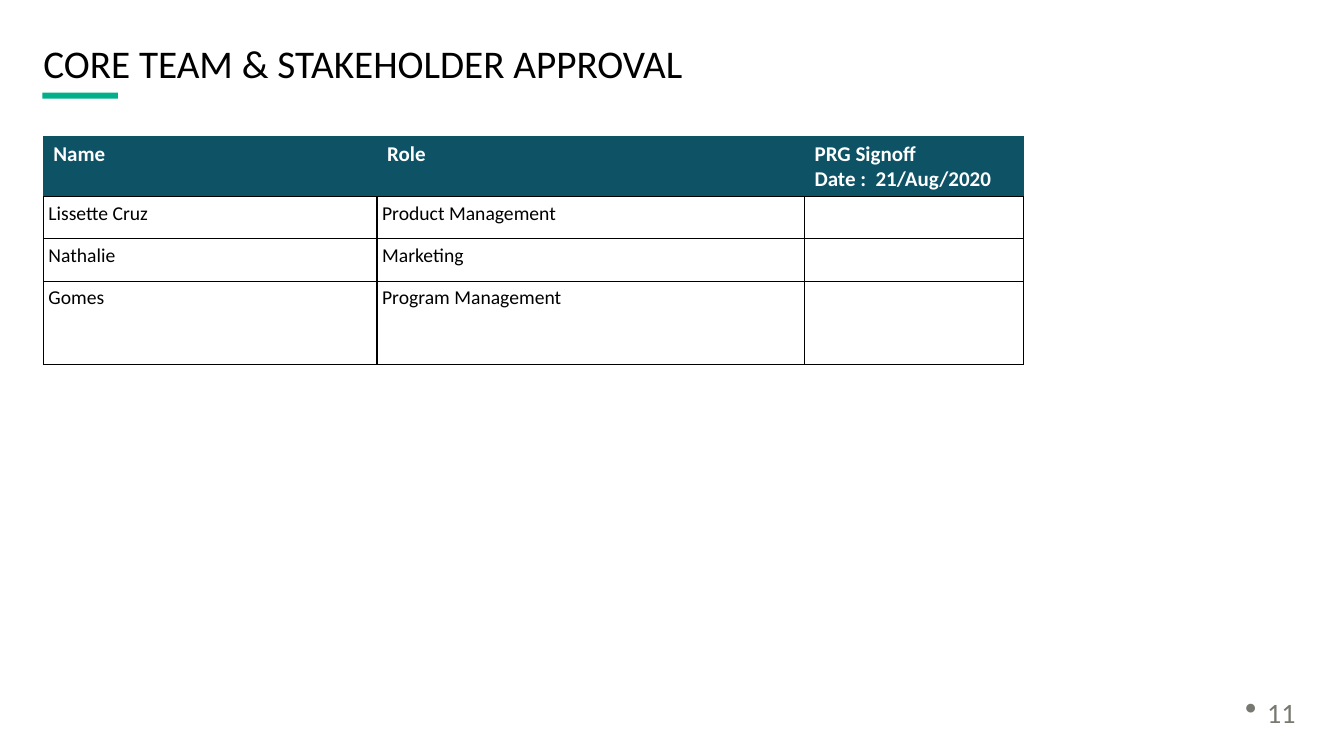
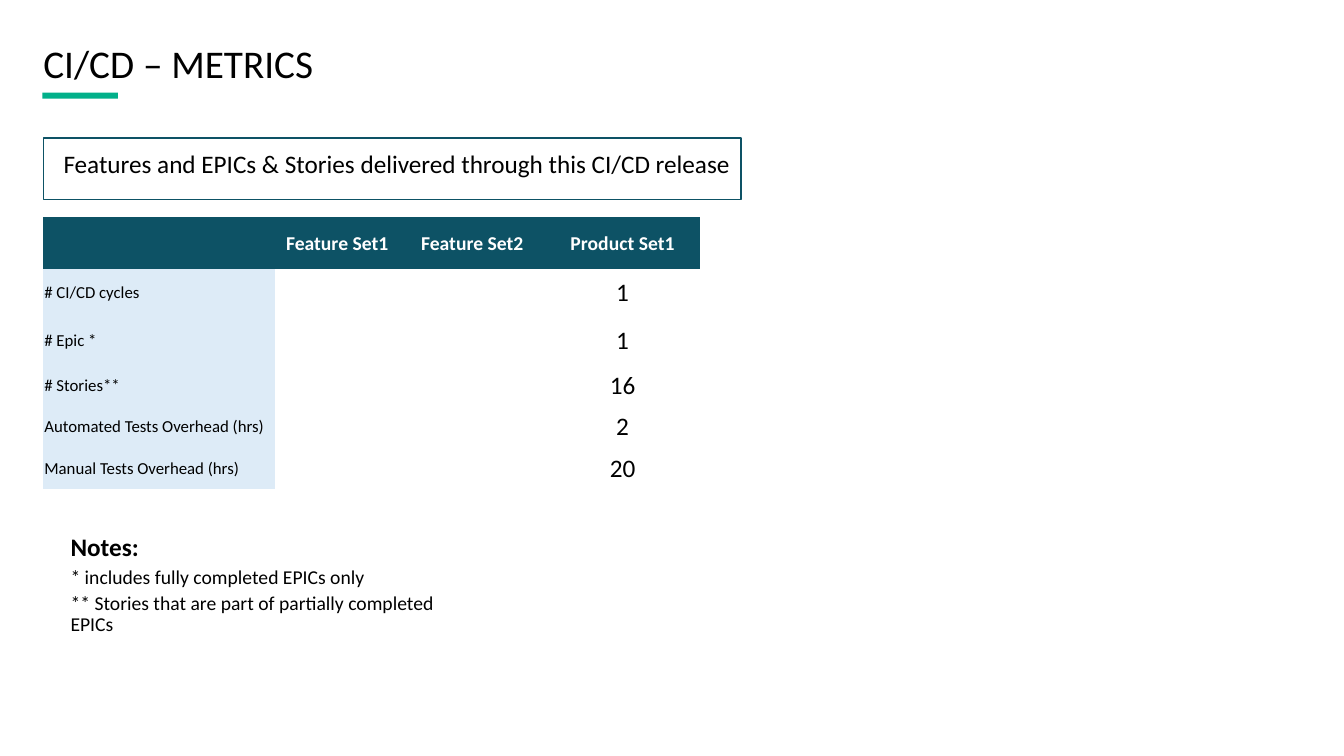
import pptx
import pptx.util
import pptx.dml.color
import pptx.enum.shapes
import pptx.enum.text
import pptx.oxml
import pptx.oxml.ns
from dataclasses import dataclass
from lxml import etree

Inches = pptx.util.Inches
Pt = pptx.util.Pt
RGB = pptx.dml.color.RGBColor.from_string
PP_ALIGN = pptx.enum.text.PP_ALIGN
ANCHOR = pptx.enum.text.MSO_ANCHOR
qn = pptx.oxml.ns.qn


@dataclass
class Theme:
    font: str = "Calibri"
    ink: str = "000000"
    white: str = "FFFFFF"
    petrol: str = "0D5265"
    accent: str = "01B08A"
    label: str = "DDEBF7"
    page: str = "787871"
    title: int = 28
    page_number: int = 20
    lead: int = 18
    header: int = 15
    body: int = 14
    small: int = 12
    left: float = 0.43


theme = Theme()


def write(frame, lines, size, color=theme.ink, bold=False, align=None,
          anchor=None, inset=None, spacing=None, before=None):
    """Fill a text box or a table cell; inset is left, top, right, bottom."""
    holder = frame if hasattr(frame, "margin_left") else frame.text_frame
    if inset:
        (holder.margin_left, holder.margin_top,
         holder.margin_right, holder.margin_bottom) = map(Inches, inset)
    if anchor is not None:
        holder.vertical_anchor = anchor
    text_frame = getattr(frame, "text_frame", frame)
    text_frame.text = "\n".join(lines)
    for paragraph in text_frame.paragraphs:
        paragraph.alignment = align
        paragraph.line_spacing = spacing
        paragraph.space_before = before
        font = paragraph.font
        font.name, font.size, font.bold = theme.font, Pt(size), bold
        font.color.rgb = RGB(color)


def plain_table(slide, top, widths, heights):
    """Add a table without style, sized by its columns and rows."""
    table = slide.shapes.add_table(
        len(heights), len(widths), Inches(theme.left), Inches(top),
        Inches(sum(widths)), Inches(sum(heights))).table
    table.first_row = table.horz_banding = False
    style = table._tbl.tblPr.find(qn("a:tableStyleId"))
    style.text = "{2D5ABB26-0587-4C30-8999-92F81FD0307C}"
    for column, width in zip(table.columns, widths):
        column.width = Inches(width)
    for row, height in zip(table.rows, heights):
        row.height = Inches(height)
    return table


deck = pptx.Presentation()
deck.slide_width, deck.slide_height = Inches(13.33), Inches(7.5)

# Title and accent bar on every slide
slides = []
for title in ("CORE TEAM & STAKEHOLDER APPROVAL", "CI/CD – METRICS"):
    slide = deck.slides.add_slide(deck.slide_layouts[6])
    bar = slide.shapes.add_shape(
        pptx.enum.shapes.MSO_SHAPE.RECTANGLE,
        Inches(0.42), Inches(0.92), Inches(0.75), Inches(0.06))
    bar.shadow.inherit = False
    bar.fill.solid()
    bar.fill.fore_color.rgb = RGB(theme.accent)
    bar.line.fill.background()
    heading = slide.shapes.add_textbox(
        Inches(theme.left), Inches(0.42), Inches(12.49), Inches(0.47)).text_frame
    heading.word_wrap = True
    write(heading, [title], theme.title, inset=(0, 0, 0, 0),
          anchor=ANCHOR.MIDDLE, spacing=0.9)
    slides.append(slide)
approval, metrics = slides

# Approval: page number with bullet
page_number = approval.shapes.add_textbox(
    Inches(12.25), Inches(6.89), Inches(0.75), Inches(0.4)).text_frame
page_number.word_wrap = True
write(page_number, ["11"], theme.page_number, theme.page,
      anchor=ANCHOR.MIDDLE, spacing=0.9)
properties = page_number.paragraphs[0]._p.get_or_add_pPr()
properties.set("marL", str(Inches(0.22)))
properties.set("indent", str(Inches(-0.22)))
bullet_size = etree.Element(qn("a:buSzPct"), val="120000")
bullet = etree.Element(qn("a:buChar"), char="•")
properties.find(qn("a:lnSpc")).addnext(bullet_size)
bullet_size.addnext(bullet)

# Approval: sign-off table
signoff_rows = [
    (["Name"], ["Role"], ["PRG Signoff", "Date :  21/Aug/2020"]),
    (["Lissette Cruz"], ["Product Management"], []),
    (["Nathalie"], ["Marketing"], []),
    (["Gomes"], ["Program Management"], []),
]
signoff = plain_table(approval, 1.35, [3.31, 4.24, 2.17], [0.59, 0.42, 0.42, 0.83])
for r, row in enumerate(signoff_rows):
    for c, lines in enumerate(row):
        cell = signoff.cell(r, c)
        is_header = r == 0
        for edge in ("lnL", "lnR", "lnT", "lnB"):
            petrol_edge = is_header and edge != "lnB"
            line = etree.SubElement(cell._tc.get_or_add_tcPr(), qn("a:" + edge),
                                    w=str(Pt(0.5 if petrol_edge else 1)))
            fill = etree.SubElement(line, qn("a:solidFill"))
            etree.SubElement(fill, qn("a:srgbClr"),
                             val=theme.petrol if petrol_edge else theme.ink)
        if is_header:
            cell.fill.solid()
            cell.fill.fore_color.rgb = RGB(theme.petrol)
            write(cell, lines, theme.header, theme.white, bold=True)
        else:
            cell.fill.background()
            write(cell, lines, theme.body, inset=(0.05, 0.05, 0.05, 0.05))

# Metrics: delivery table
metric_rows = [
    ("", "Feature Set1", "Feature Set2", "Product Set1"),
    ("# CI/CD cycles", "", "", "1"),
    ("# Epic *", "", "", "1"),
    ("# Stories**", "", "", "16"),
    ("Automated Tests Overhead (hrs)", "", "", "2"),
    ("Manual Tests Overhead (hrs)", "", "", "20"),
]
delivery = plain_table(metrics, 2.15, [2.3, 1.23, 1.45, 1.53],
                       [0.52, 0.47, 0.47, 0.42, 0.41, 0.41])
for r, row in enumerate(metric_rows):
    for c, value in enumerate(row):
        cell = delivery.cell(r, c)
        if r == 0:
            size, color, background = theme.body, theme.white, theme.petrol
        elif c == 0:
            size, color, background = theme.small, theme.ink, theme.label
        else:
            size, color, background = theme.lead, theme.ink, None
        if background:
            cell.fill.solid()
            cell.fill.fore_color.rgb = RGB(background)
        else:
            cell.fill.background()
        write(cell, [value], size, color, bold=r == 0,
              align=PP_ALIGN.LEFT if c == 0 else PP_ALIGN.CENTER,
              anchor=ANCHOR.MIDDLE, inset=(0.01, 0.01, 0.01, 0))

# Metrics: framed lead sentence
lead = metrics.shapes.add_textbox(
    Inches(theme.left), Inches(1.37), Inches(6.92), Inches(0.61))
lead.line.color.rgb = RGB(theme.petrol)
lead.line.width = Pt(1)
lead.text_frame.word_wrap = False
write(lead.text_frame,
      ["Features and EPICs & Stories delivered through this CI/CD release"],
      theme.lead, inset=(0.2, 0.2, 0.1, 0.2), spacing=0.9, before=Pt(4))

# Metrics: notes
notes = metrics.shapes.add_textbox(
    Inches(0.5), Inches(5.1), Inches(4.46), Inches(0.91)).text_frame
notes.word_wrap = True
write(notes,
      ["Notes:", "* includes fully completed EPICs only",
       "** Stories that are part of partially completed EPICs"],
      theme.body, inset=(0.2, 0.2, 0.2, 0.2), spacing=0.9, before=Pt(4))
notes_heading = notes.paragraphs[0].font
notes_heading.size, notes_heading.bold = Pt(theme.lead), True

deck.save("out.pptx")
